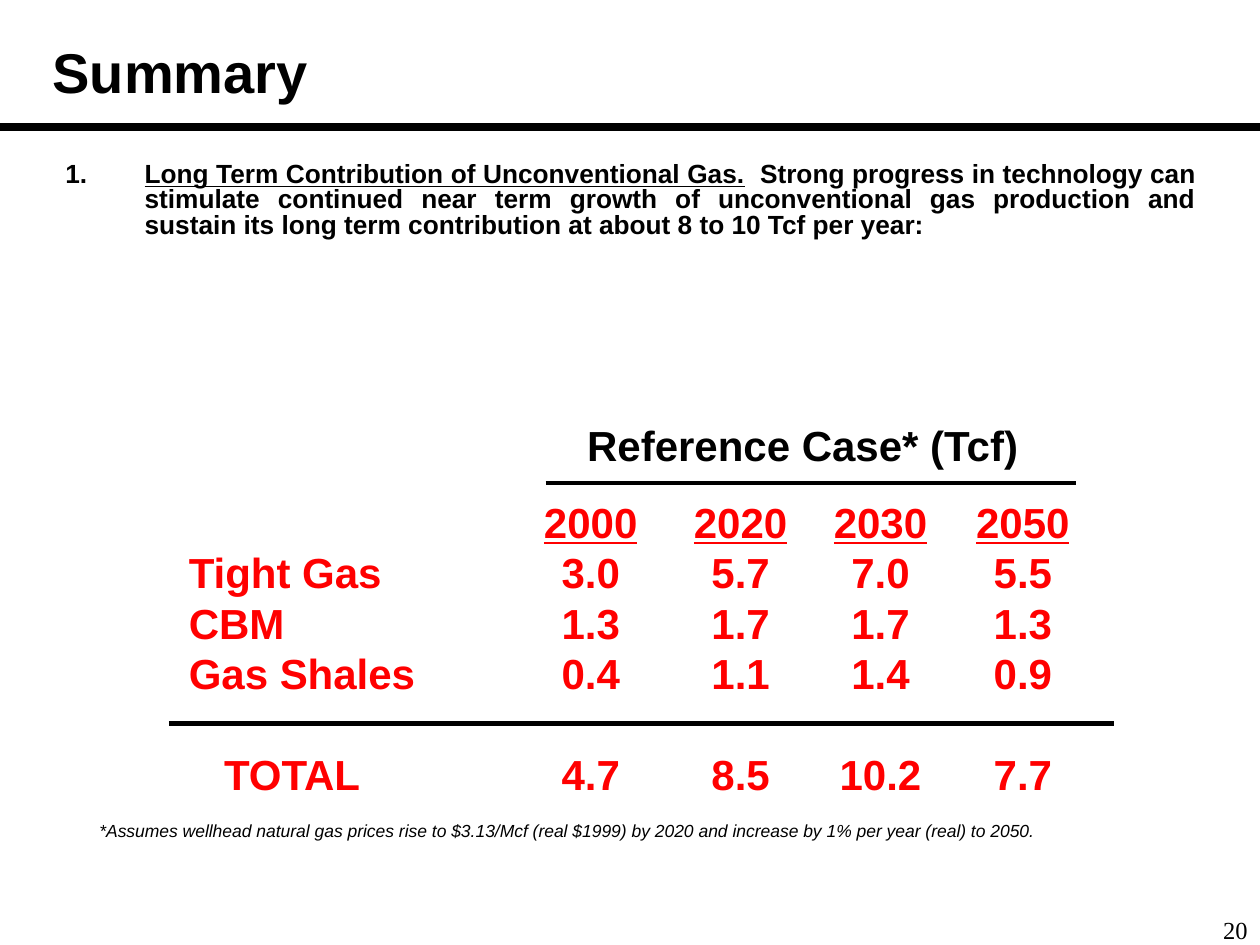
"""Build the summary slide on unconventional gas supply."""
from lxml import etree
from pptx import Presentation
from pptx import util as u
from pptx.dml.color import RGBColor
from pptx.enum import shapes, text
from pptx.oxml.ns import qn

BLACK = RGBColor(0, 0, 0)
RED = RGBColor(255, 0, 0)
LEFT, MID, RIGHT, JUST = (text.PP_ALIGN.LEFT, text.PP_ALIGN.CENTER,
                          text.PP_ALIGN.RIGHT, text.PP_ALIGN.JUSTIFY)
STOPS = tuple((stop, "ctr") for stop in (3.19, 4.38, 5.49, 6.62))
INSET = (0.28, "l")
YEARS = ("2000", "2020", "2030", "2050")
GAS = (
    ("Tight Gas", "3.0", "5.7", "7.0", "5.5"),
    ("CBM", "1.3", "1.7", "1.7", "1.3"),
    ("Gas Shales", "0.4", "1.1", "1.4", "0.9"),
)
TOTAL = ("TOTAL", "4.7", "8.5", "10.2", "7.7")


def write(para, words, size=24, font="Arial", color=BLACK, bold=True,
          slant=False, under=False):
    run = para.add_run()
    run.text = words
    face = run.font
    face.name, face.size = font, u.Pt(size)
    face.bold, face.italic, face.underline = bold, slant, under
    face.color.rgb = color


def hang(para, depth):
    props = para._p.get_or_add_pPr()
    props.set("marL", str(u.Inches(depth)))
    props.set("indent", str(-u.Inches(depth)))


def set_tabs(para, stops):
    tabs = etree.SubElement(para._p.get_or_add_pPr(), qn("a:tabLst"))
    for stop, align in stops:
        etree.SubElement(tabs, qn("a:tab"), pos=str(u.Inches(stop)), algn=align)


class Page:
    def __init__(self, deck, color=BLACK):
        self.slide = deck.slides.add_slide(deck.slide_layouts[6])
        self.color = color

    def box(self, left, top, width, height, wrap=True, align=LEFT):
        frame = self.slide.shapes.add_textbox(
            *map(u.Inches, (left, top, width, height))).text_frame
        frame.word_wrap = wrap
        frame.paragraphs[0].alignment = align
        return frame

    def label(self, words, *place, wrap=True, align=LEFT, **style):
        frame = self.box(*place, wrap=wrap, align=align)
        write(frame.paragraphs[0], words, **style)
        return frame

    def rule(self, left, right, top, weight):
        line = self.slide.shapes.add_connector(
            shapes.MSO_CONNECTOR.STRAIGHT, u.Inches(left), u.Inches(top),
            u.Inches(right), u.Inches(top))
        line.line.color.rgb = self.color
        line.line.width = u.Pt(weight)
        etree.SubElement(line._element.spPr, qn("a:effectLst"))

    def point(self, mark, lead, body, *place, size=15):
        para = self.box(*place, align=JUST).paragraphs[0]
        para.line_spacing, para.space_before = 0.8, u.Pt(6)
        hang(para, 0.63)
        write(para, mark + "\t", size=size)
        write(para, lead, size=size, under=True)
        write(para, "  " + body, size=size)

    def figures(self, *place):
        frame = self.box(*place)
        head = frame.paragraphs[0]
        write(head, "\t", color=RED)
        write(head, "\t".join(YEARS), color=RED, under=True)
        set_tabs(head, STOPS)
        for row in GAS:
            para = frame.add_paragraph()
            write(para, "\t".join(row), color=RED)
            set_tabs(para, STOPS)
        total = frame.add_paragraph()
        total.space_before = u.Pt(28.8)
        write(total, "\t" + "\t".join(TOTAL), color=RED)
        set_tabs(total, (INSET, *STOPS))


def main():
    deck = Presentation()
    deck.slide_width, deck.slide_height = u.Inches(10), u.Inches(7.5)
    page = Page(deck)
    title = page.label("Summary", 0.32, 0.19, 8.5, 0.75, size=32)
    title.vertical_anchor = text.MSO_ANCHOR.MIDDLE
    page.rule(0, 10, 1.01, 4.5)
    page.point("1.", "Long Term Contribution of Unconventional Gas.",
               "Strong progress in technology can stimulate continued near "
               "term growth of unconventional gas production and sustain its "
               "long term contribution at about 8 to 10 Tcf per year:",
               0.42, 1.25, 9.17, 1.17)
    page.figures(1.4, 3.89, 7.83, 2.5)
    page.rule(1.34, 8.84, 5.74, 3)
    page.label("Reference Case* (Tcf)", 4.55, 3.28, 3.64, 0.5,
               wrap=False, align=MID)
    page.rule(4.33, 8.54, 3.83, 2.25)
    page.label("*Assumes wellhead natural gas prices rise to $3.13/Mcf (real "
               "$1999) by 2020 and increase by 1% per year (real) to 2050.",
               0.69, 6.46, 7.61, 0.27, wrap=False, size=10, bold=False,
               slant=True)
    page.label("20", 9.39, 7.21, 0.61, 0.29, align=RIGHT, size=14,
               font="Times New Roman", bold=False)
    deck.save("out.pptx")


if __name__ == "__main__":
    main()
